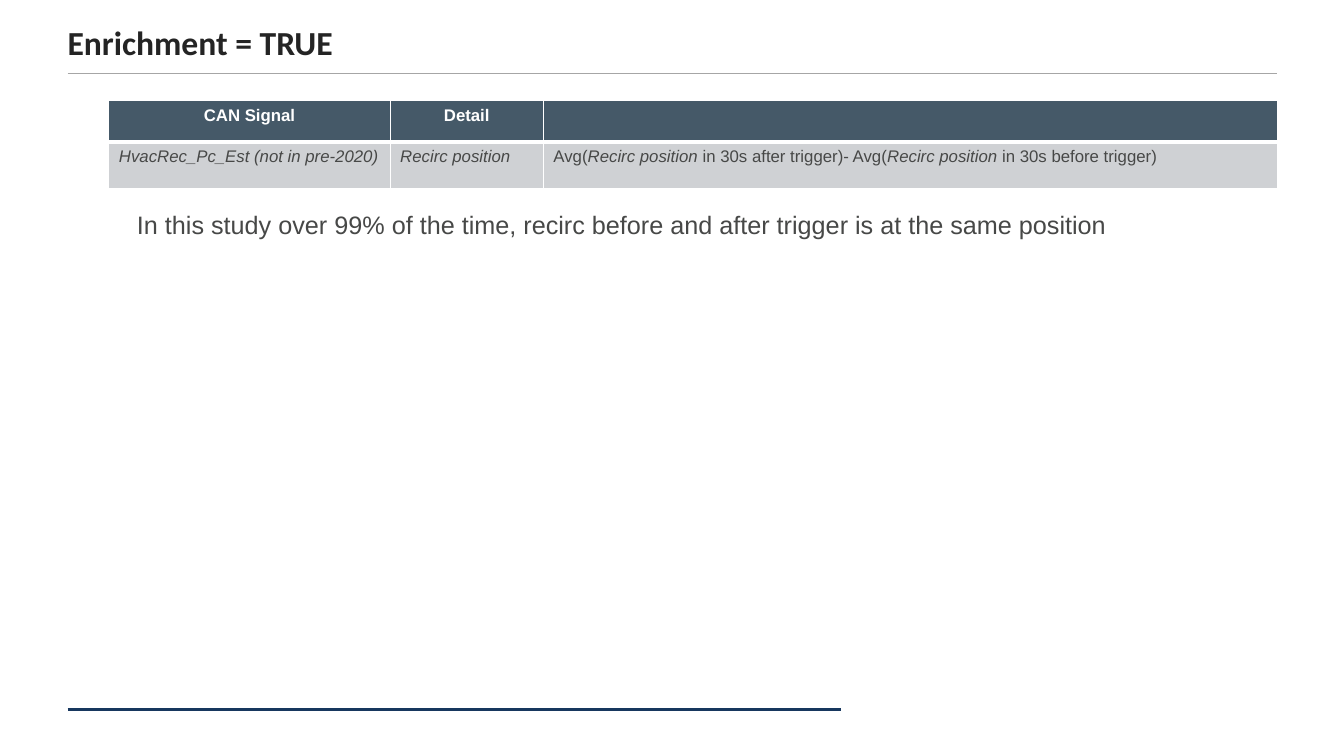
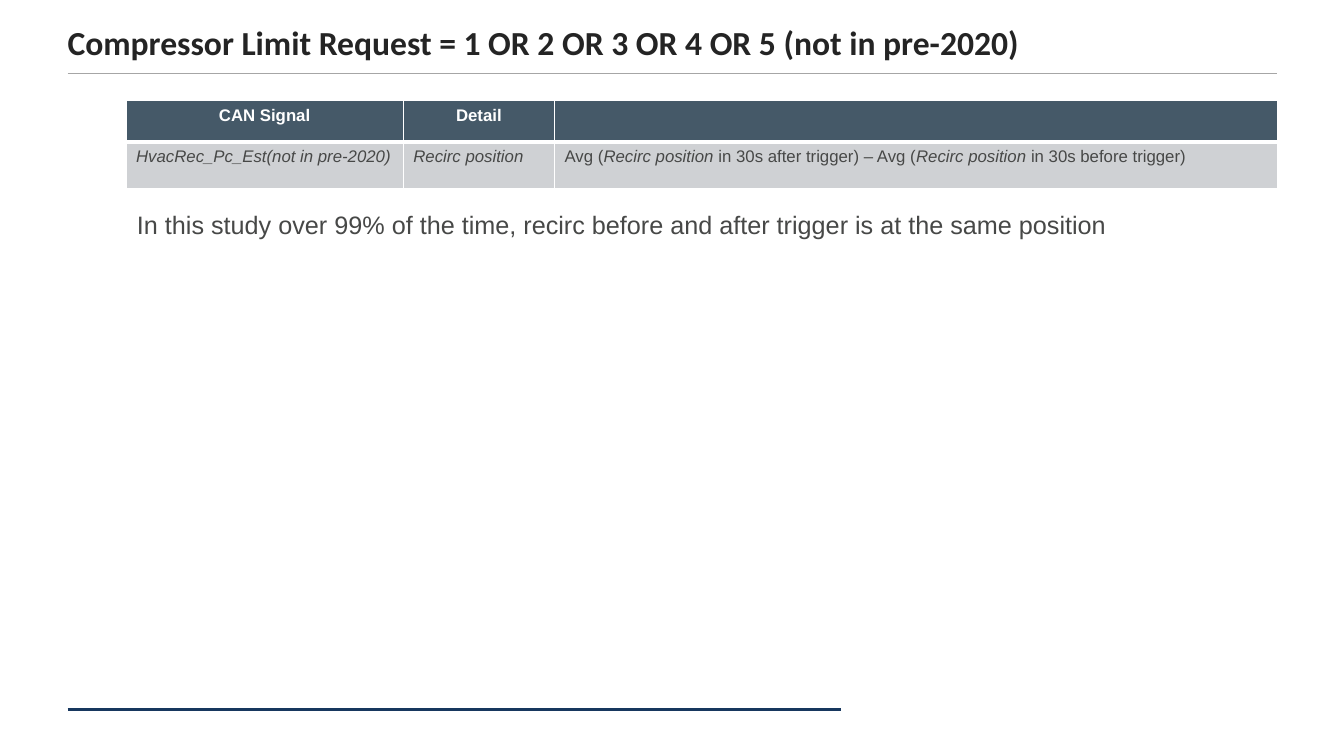
from dataclasses import dataclass

from lxml.etree import SubElement
from pptx import Presentation
from pptx.dml.color import RGBColor
from pptx.enum.shapes import MSO_CONNECTOR
from pptx.enum.text import MSO_ANCHOR, PP_ALIGN
from pptx.oxml import parse_xml
from pptx.oxml.ns import nsdecls, qn
from pptx.slide import Slide
from pptx.table import _Cell
from pptx.text.text import _Run
from pptx.util import Inches, Pt

# Shared style
WHITE = RGBColor(0xFF, 0xFF, 0xFF)
TITLE_COLOR = RGBColor(0x24, 0x24, 0x24)
TEXT_COLOR = RGBColor(0x47, 0x48, 0x47)
HEADER_FILL = RGBColor(0x45, 0x59, 0x68)
BODY_FILL = RGBColor(0xCF, 0xD1, 0xD4)
TITLE_RULE = RGBColor(0xA6, 0xA6, 0xA6)
FOOTER_RULE = RGBColor(0x17, 0x37, 0x5E)
LEFT = 0.67
RIGHT = 12.67
HEADERS = ("CAN Signal", "Detail", "")
ROW_HEIGHTS = (0.41, 0.46)
NOTE = "In this study over 99% of the time, recirc before and after trigger is at the same position"


@dataclass(frozen=True)
class Rule:
    end: float
    y: float
    color: RGBColor
    width: float


@dataclass(frozen=True)
class SignalSlide:
    title: str
    table_left: float
    signal_width: float
    detail_width: float
    signal: str
    formula: tuple[str, str, str]  # plain text around the italic signal name


RULES = (
    Rule(RIGHT, 0.73, TITLE_RULE, 1),
    Rule(8.34, 7.04, FOOTER_RULE, 2.25),
)
DETAIL = "Recirc position"
SIGNAL_SLIDES = (
    SignalSlide(
        "Enrichment = TRUE", 1.08, 2.79, 1.52,
        "HvacRec_Pc_Est (not in pre-2020)",
        ("Avg(", "in 30s after trigger)- Avg(", "in 30s before trigger)"),
    ),
    SignalSlide(
        "Compressor Limit Request = 1 OR 2 OR 3 OR 4 OR 5 (not in pre-2020)",
        1.25, 2.75, 1.5,
        "HvacRec_Pc_Est(not in pre-2020)",
        ("Avg (", "in 30s after trigger) – Avg (", "in 30s before trigger)"),
    ),
)


def format_run(run: _Run, size: float, color: RGBColor, name: str = "Arial",
               bold: bool = False, italic: bool = False) -> None:
    font = run.font
    font.size, font.name = Pt(size), name
    font.bold, font.italic = bold, italic
    font.color.rgb = color


def add_rule(slide: Slide, rule: Rule) -> None:
    connector = slide.shapes.add_connector(
        MSO_CONNECTOR.STRAIGHT, Inches(LEFT), Inches(rule.y), Inches(rule.end), Inches(rule.y))
    connector.line.color.rgb = rule.color
    connector.line.width = Pt(rule.width)
    SubElement(connector._element.spPr, qn("a:effectLst"))


def add_text(slide: Slide, text: str, left: float, top: float, width: float,
             height: float) -> tuple:
    box = slide.shapes.add_textbox(Inches(left), Inches(top), Inches(width), Inches(height))
    box.text_frame.word_wrap = True
    box.text_frame.text = text
    return box.text_frame, box.text_frame.paragraphs[0].runs[0]


def style_cell(cell: _Cell, fill: RGBColor, top: float, bottom: float) -> None:
    cell.fill.solid()
    cell.fill.fore_color.rgb = fill
    properties = cell._tc.get_or_add_tcPr()
    borders = (("lnL", 1), ("lnR", 1), ("lnT", top), ("lnB", bottom))
    for index, (tag, width) in enumerate(borders):
        properties.insert(index, parse_xml(
            f'<a:{tag} {nsdecls("a")} w="{Pt(width)}"><a:solidFill>'
            f'<a:srgbClr val="{WHITE}"/></a:solidFill></a:{tag}>'))


def add_signal_table(slide: Slide, content: SignalSlide) -> None:
    width = RIGHT - content.table_left
    frame = slide.shapes.add_table(
        2, 3, Inches(content.table_left), Inches(1), Inches(width), Inches(sum(ROW_HEIGHTS)))
    table = frame.table
    formula_width = width - content.signal_width - content.detail_width
    for column, size in zip(table.columns, (content.signal_width, content.detail_width, formula_width)):
        column.width = Inches(size)
    for row, height in zip(table.rows, ROW_HEIGHTS):
        row.height = Inches(height)

    # Header row
    for column, header in enumerate(HEADERS):
        cell = table.cell(0, column)
        style_cell(cell, HEADER_FILL, 1, 3)
        if header:
            cell.text_frame.text = header
            paragraph = cell.text_frame.paragraphs[0]
            paragraph.alignment = PP_ALIGN.CENTER
            format_run(paragraph.runs[0], 12, WHITE, bold=True)

    # Signal row: each cell is a list of (text, italic) parts
    before, between, after = content.formula
    name = (f"{DETAIL} ", True)
    formula = [(before, False), name, (between, False), name, (after, False)]
    for column, parts in enumerate(([(content.signal, True)], [(DETAIL, True)], formula)):
        cell = table.cell(1, column)
        style_cell(cell, BODY_FILL, 3, 1)
        for text, italic in parts:
            run = cell.text_frame.paragraphs[0].add_run()
            run.text = text
            format_run(run, 12, TEXT_COLOR, italic=italic)


def add_signal_slide(presentation: Presentation, content: SignalSlide) -> None:
    slide = presentation.slides.add_slide(presentation.slide_layouts[6])
    for rule in RULES:
        add_rule(slide, rule)

    # Title
    frame, run = add_text(slide, content.title, LEFT, 0.16, RIGHT - LEFT, 0.51)
    frame.vertical_anchor = MSO_ANCHOR.BOTTOM
    frame.margin_left = 0
    format_run(run, 24, TITLE_COLOR, "Calibri", bold=True)

    # Table and finding
    add_signal_table(slide, content)
    _, run = add_text(slide, NOTE, 1.26, 2.03, 11.42, 0.4)
    format_run(run, 18, TEXT_COLOR)


def main() -> None:
    presentation = Presentation()
    presentation.slide_width = Inches(13.33)
    presentation.slide_height = Inches(7.5)
    for content in SIGNAL_SLIDES:
        add_signal_slide(presentation, content)
    presentation.save("out.pptx")


if __name__ == "__main__":
    main()
